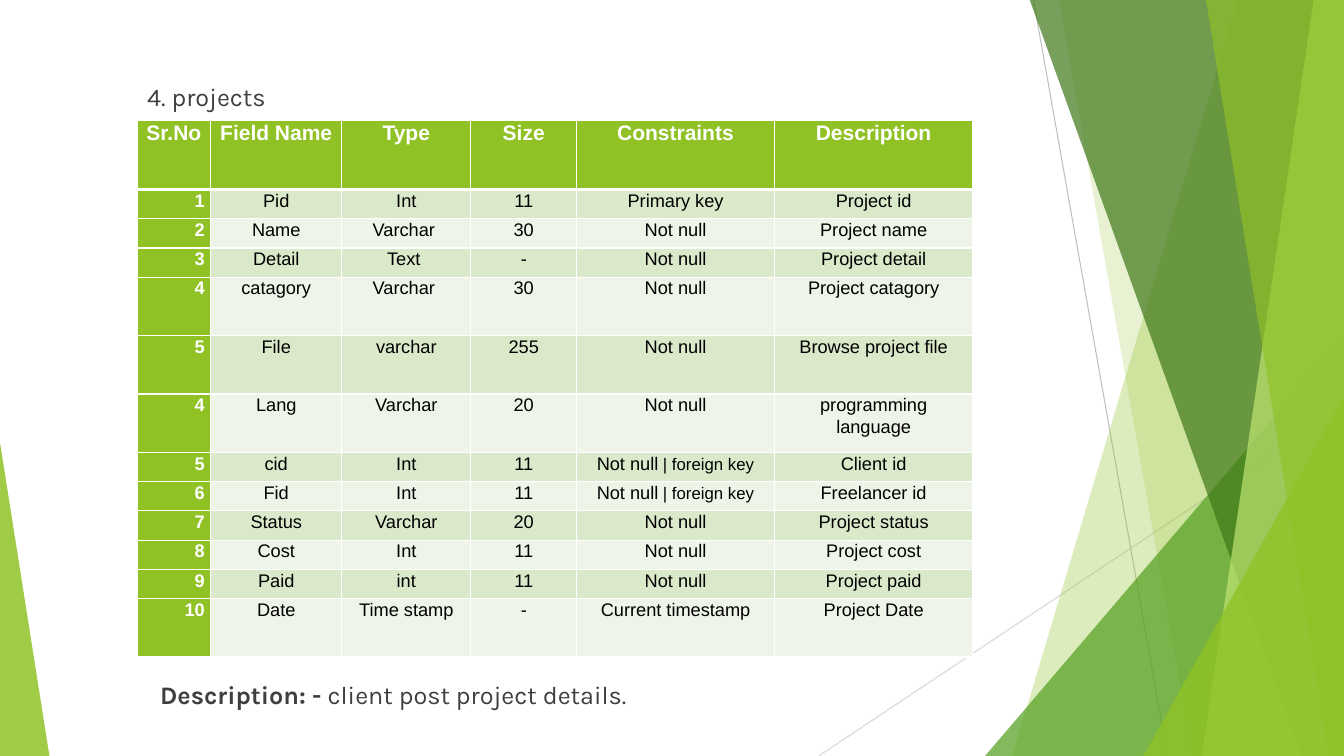
from lxml.etree import SubElement as Sub
from pptx import Presentation
from pptx.dml.color import RGBColor as RGB
from pptx.enum.shapes import MSO_CONNECTOR as Link, MSO_SHAPE as Shape
from pptx.enum.text import PP_ALIGN as Align
from pptx.oxml import parse_xml
from pptx.oxml.ns import nsdecls, qn
from pptx.util import Inches, Pt

THEME = {
    "lime": "90C226", "green": "54A021", "dark": "3F7818", "pale": "BFE471",
    "band": ["DBE9CB", "EEF4E7"], "white": "FFFFFF", "black": "000000",
    "text": "3F3F3F", "rules": ["BFBFBF", "D8D8D8"],
    "body": {"name": "Karla", "size": Pt(18), "bold": False},
    "strong": {"name": "Karla", "size": Pt(18), "bold": True},
    "head": {"name": "Arial", "size": Pt(15), "bold": True},
    "index": {"name": "Arial", "size": Pt(13), "bold": True},
    "cell": {"name": "Arial", "size": Pt(13), "bold": False},
    "small": {"name": "Arial", "size": Pt(12), "bold": False},
}


def paint(shape, color, alpha):
    shape.shadow.inherit = False
    shape.line.fill.background()
    shape.fill.solid()
    shape.fill.fore_color.rgb = RGB.from_string(THEME[color])
    tone = shape.fill._xPr.find(qn("a:solidFill"))[0]
    Sub(tone, qn("a:alpha"), val=str(alpha * 1000))


def write(para, text, style, color):
    run = para.add_run()
    run.text = text
    for key, value in THEME[style].items():
        setattr(run.font, key, value)
    run.font.color.rgb = RGB.from_string(THEME[color])


deck = Presentation()
deck.slide_width, deck.slide_height = Inches(13.33), Inches(7.5)
slide = deck.slides.add_slide(deck.slide_layouts[6])
shapes = slide.shapes

ends = [(10.25, 0, 11.58, 7.5), (13.33, 4.03, 8.12, 7.5)]
for points, color in zip(ends, THEME["rules"]):
    rule = shapes.add_connector(Link.STRAIGHT, *map(Inches, points))
    rule.line.color.rgb = RGB.from_string(color)
    rule.line.width = Pt(0.75)
    Sub(rule._element.spPr, qn("a:effectLst"))

facets = [
    ("blade", (12.28, 10.04), "lime", 30),
    ("blade", (10.5, 11.83), "lime", 20),
    ("wedge", (9.77, 3.33, 3.56, 4.17, 1), "green", 72),
    ("blade", (10.21, 12.91), "dark", 70),
    ("blade", (13.03, 11.92), "pale", 70),
    ("blade", (11.96, 13.18), "lime", 65),
    ("wedge", (11.34, 3.93, 1.99, 3.57, 1), "lime", 80),
    ("wedge", (0, 4.39, 0.49, 3.11, 0), "lime", 85),
]
for kind, place, color, alpha in facets:
    if kind == "blade":
        top, base = place
        pen = shapes.build_freeform(Inches(top), Inches(-0.01))
        rest = [(13.33, -0.01), (13.33, 7.5), (base, 7.5)]
        pen.add_line_segments([(Inches(x), Inches(y)) for x, y in rest])
        facet = pen.convert_to_shape()
    else:
        *box, tip = place
        facet = shapes.add_shape(Shape.ISOSCELES_TRIANGLE, *map(Inches, box))
        facet.adjustments[0] = tip
    paint(facet, color, alpha)

notes = [
    ((1.36, 0.76, 8.78, 0.4), [("4. projects", "body")]),
    ((1.49, 6.69, 7.47, 0.81),
     [("Description: -", "strong"), (" client post project details.", "body")]),
]
for box, runs in notes:
    frame = shapes.add_textbox(*map(Inches, box)).text_frame
    frame.word_wrap = True
    for text, style in runs:
        write(frame.paragraphs[0], text, style, "text")

rows = [
    ("Sr.No", "Field Name", "Type", "Size", "Constraints", "Description"),
    ("1", "Pid", "Int", "11", "Primary key", "Project id"),
    ("2", "Name", "Varchar ", "30", "Not null", "Project name"),
    ("3", "Detail", "Text ", "-", "Not null", "Project detail"),
    ("4", "catagory", "Varchar ", "30", "Not null", "Project catagory"),
    ("5", "File", "varchar", "255", "Not null", "Browse project file"),
    ("4", "Lang", "Varchar", "20", "Not null", "programming language"),
    ("5", "cid", "Int", "11", "Not null | foreign key", "Client id"),
    ("6", "Fid", "Int", "11", "Not null | foreign key", "Freelancer id"),
    ("7", "Status", "Varchar", "20", "Not null", "Project status"),
    ("8", "Cost", "Int", "11", "Not null", "Project cost"),
    ("9", "Paid", "int", "11", "Not null", "Project paid"),
    ("10", "Date", "Time stamp", "-", "Current timestamp", "Project Date"),
]
widths = [0.73, 1.3, 1.28, 1.05, 1.96, 1.97]
tall = {0: 0.69, 4: 0.58, 5: 0.58, 6: 0.58, 12: 0.58}
inset = {"margin_left": Inches(0.06), "margin_right": Inches(0.06),
         "margin_top": 0, "margin_bottom": 0}
table = shapes.add_table(len(rows), len(widths), Inches(1.36), Inches(1.19),
                         Inches(8.29), Inches(5.34)).table
for col, width in zip(table.columns, widths):
    col.width = Inches(width)

for r, row in enumerate(rows):
    table.rows[r].height = Inches(tall.get(r, 0.29))
    for c, text in enumerate(row):
        cell = table.cell(r, c)
        for key, value in inset.items():
            setattr(cell, key, value)
        solid = r == 0 or c == 0
        style = "head" if r == 0 else "index" if c == 0 else "cell"
        color = "white" if solid else "black"
        fill = THEME["lime"] if solid else THEME["band"][(r - 1) % 2]
        cell.fill.solid()
        cell.fill.fore_color.rgb = RGB.from_string(fill)
        para = cell.text_frame.paragraphs[0]
        para.alignment = Align.RIGHT if c == 0 and r else Align.CENTER
        para.line_spacing = 1.07
        main, bar, key = text.partition(" | ")
        write(para, main, style, color)
        if bar:
            write(para, bar + key, "small", color)
        for i, side in enumerate("LRTB"):
            thick = 3 if (r, side) in [(0, "B"), (1, "T")] else 1
            edge = parse_xml(
                f'<a:ln{side} {nsdecls("a")} w="{Pt(thick)}"><a:solidFill>'
                f'<a:srgbClr val="{THEME["white"]}"/></a:solidFill></a:ln{side}>')
            cell._tc.tcPr.insert(i, edge)

deck.save("out.pptx")
